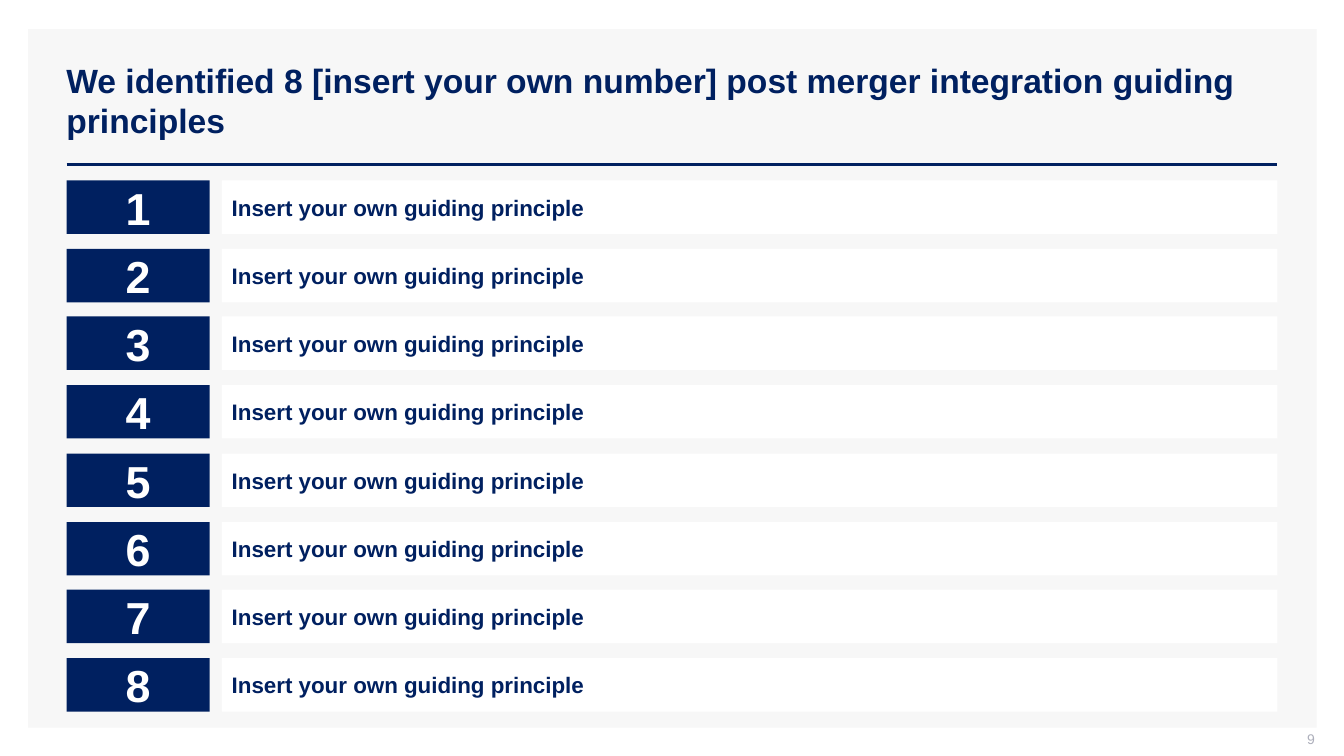
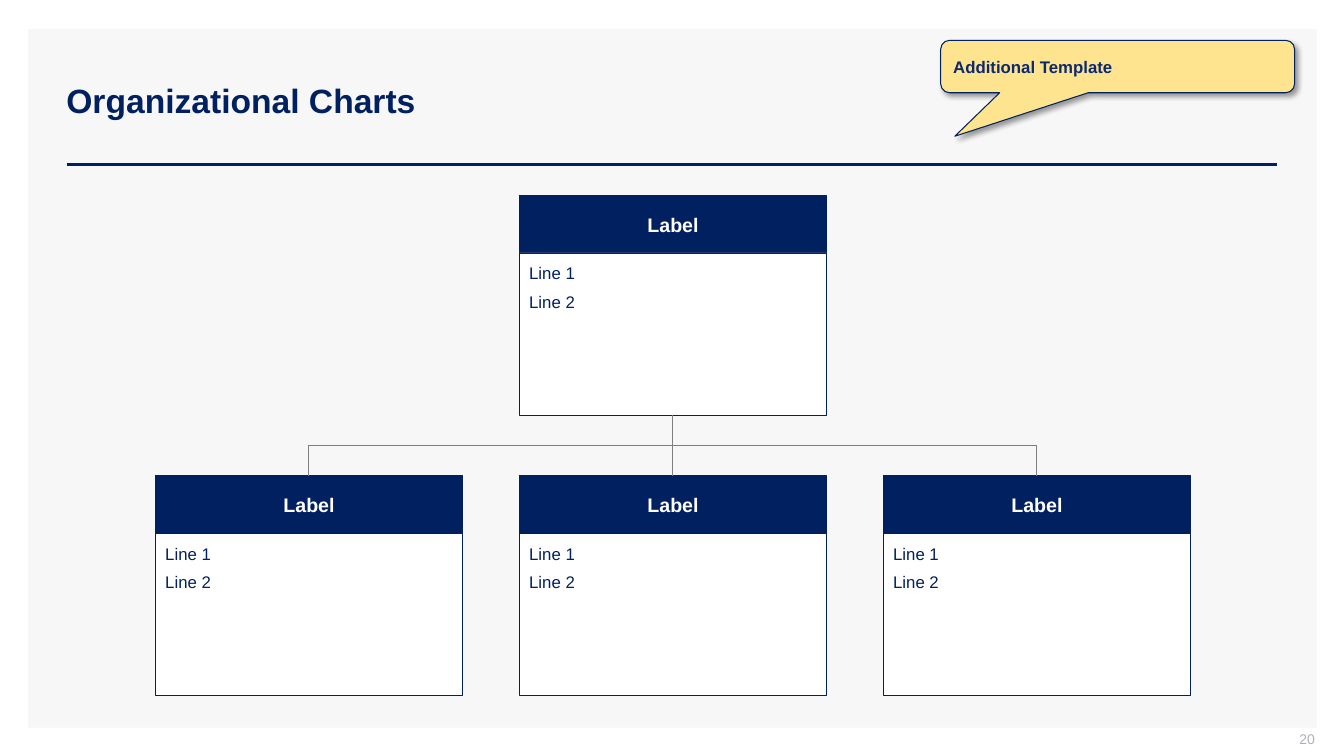
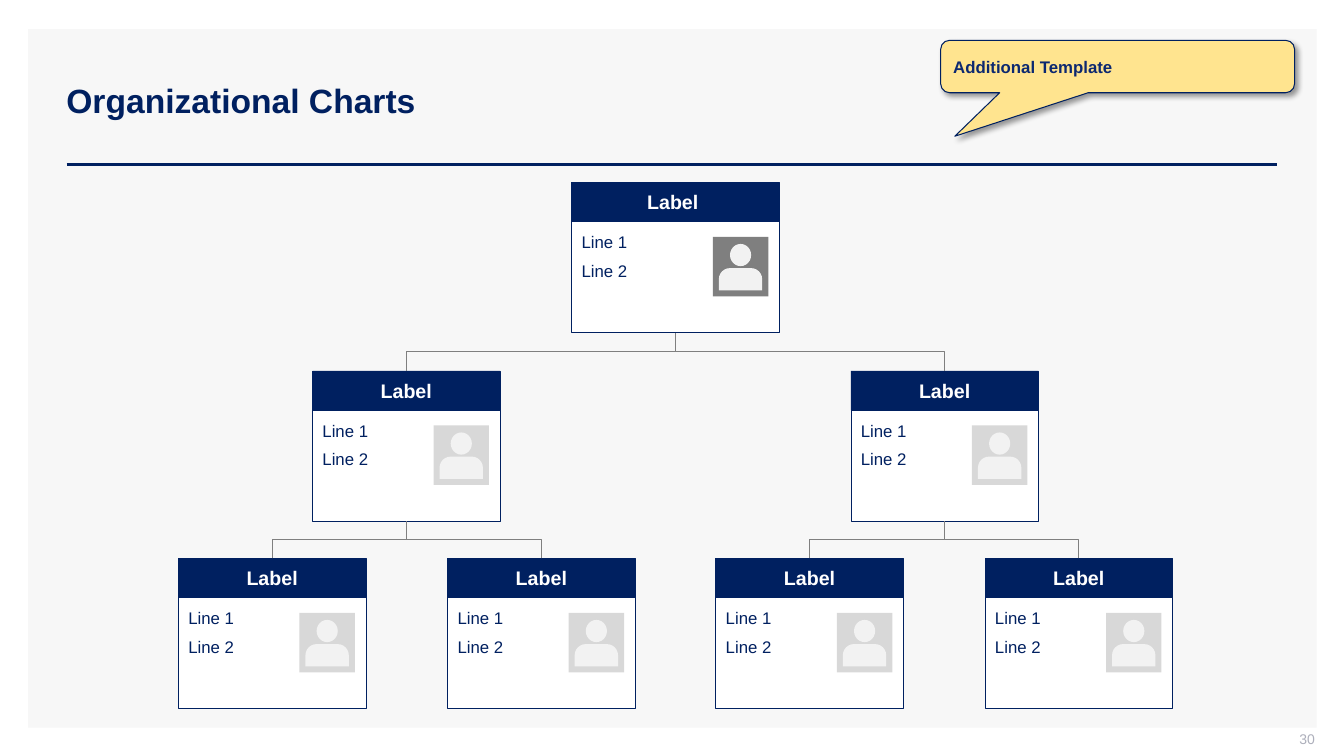
from lxml import etree
from pptx import Presentation
from pptx.dml.color import RGBColor
from pptx.enum.shapes import MSO_CONNECTOR as LINK, MSO_SHAPE as SHAPE
from pptx.enum.text import MSO_ANCHOR as ANCHOR, PP_ALIGN as ALIGN
from pptx.oxml.ns import qn
from pptx.util import Pt

PX = 9144  # 100 px to the inch
FONT = "Arial"
COLORS = {
    "navy": "002060", "white": "FFFFFF", "panel": "F7F7F7", "page": "ADAFBB",
    "wire": "7F7F7F", "yellow": "FFE48F", "callout": "0C2870",
    "dark": "7F7F7F", "light": "D8D8D8", "person": "F2F2F2",
}


def box(shapes, x, y, w, h, text="", *, kind=SHAPE.RECTANGLE, fill=None, line=None,
        line_pt=0.5, adj=(), size=12, color="navy", bold=False, align=ALIGN.LEFT,
        anchor=ANCHOR.MIDDLE, inset=(10, 5, 10, 5), after=0):
    """Add a shape, or a text box when there is no fill; each line is a paragraph."""
    at = [v * PX for v in (x, y, w, h)]
    if fill:
        sp = shapes.add_shape(kind, *at)
        sp.shadow.inherit = False
        sp.fill.solid()
        sp.fill.fore_color.rgb = RGBColor.from_string(COLORS[fill])
        if line:
            sp.line.color.rgb = RGBColor.from_string(COLORS[line])
            sp.line.width = Pt(line_pt)
        else:
            sp.line.fill.background()
        for i, value in enumerate(adj):
            sp.adjustments[i] = value
    else:
        sp = shapes.add_textbox(*at)
    if text:
        tf = sp.text_frame
        tf.word_wrap = True
        tf.vertical_anchor = anchor
        tf.margin_left, tf.margin_top, tf.margin_right, tf.margin_bottom = (
            v * PX for v in inset)
        for i, content in enumerate(text.split("\n")):
            p = tf.add_paragraph() if i else tf.paragraphs[0]
            p.alignment = align
            p.space_after = Pt(after)
            r = p.add_run()
            r.text = content
            r.font.name, r.font.size, r.font.bold = FONT, Pt(size), bold
            r.font.color.rgb = RGBColor.from_string(COLORS[color])
    return sp


def wire(s, x1, y1, x2, y2, color="wire", width=0.5):
    """Join two points: straight if aligned, else an elbow leaving vertically."""
    if x1 == x2 or y1 == y2:
        cn = s.shapes.add_connector(LINK.STRAIGHT, x1 * PX, y1 * PX, x2 * PX, y2 * PX)
    else:
        # An elbow leaves sideways, so it is laid out on its side and then turned.
        side = 1 if x1 > x2 else -1
        mid_x, mid_y = (x1 + x2) * PX // 2, (y1 + y2) * PX // 2
        dx, dy = side * (y1 - y2) * PX // 2, abs(x1 - x2) * PX // 2
        cn = s.shapes.add_connector(LINK.ELBOW, mid_x - dx, mid_y + dy,
                                    mid_x + dx, mid_y - dy)
        turn = 270 if side > 0 else 90
        cn._element.spPr.find(qn("a:xfrm")).set("rot", str(turn * 60000))
    cn.line.color.rgb = RGBColor.from_string(COLORS[color])
    cn.line.width = Pt(width)
    etree.SubElement(cn._element.spPr, qn("a:effectLst"))


prs = Presentation()
prs.slide_width, prs.slide_height = 1333 * PX, 750 * PX

# Panel, title, rule and page number
pages = [
    ("We identified 8 [insert your own number] post merger integration guiding principles", 9),
    ("Organizational Charts", 20),
    ("Organizational Charts", 30),
]
slides = []
for title, number in pages:
    s = prs.slides.add_slide(prs.slide_layouts[6])
    box(s.shapes, 28, 29, 1278, 693, fill="panel")
    wire(s, 66, 163, 1267, 163, color="navy", width=2)
    box(s.shapes, 56, 40, 1211, 119, title, size=24, bold=True)
    box(s.shapes, 1004, 725, 300, 21, str(number), size=10, color="page",
        align=ALIGN.RIGHT, inset=(10, 0, 0, 5))
    slides.append(s)
principles, *charts = slides

# Guiding principles
for i in range(8):
    top = 179 + round(i * 474 / 7)
    box(principles.shapes, 66, top, 142, 53, str(i + 1), fill="navy", size=32,
        color="white", bold=True, align=ALIGN.CENTER)
    box(principles.shapes, 220, top, 1047, 53, "Insert your own guiding principle",
        fill="white", size=16, bold=True)

# Organizational charts: each card is (center, top, width, label, photo, parent index)
three_reports = [(667, 194, 305, "Label", None, None)]
three_reports += [(667 + i * 361, 472, 305, "Label", None, 0) for i in (-1, 0, 1)]
three_levels = [(670, 181, 206, "Label ", "dark", None)]
three_levels += [(403 + i * 534, 368, 186, "Label", "light", 0) for i in range(2)]
three_levels += [(270 + round(i * 800 / 3), 554, 186, "Label", "light", 1 + i // 2)
                 for i in range(4)]

for s, head_h, body_h, cards in zip(charts, (57, 39), (161, 110),
                                    (three_reports, three_levels)):
    for center, top, width, label, photo, parent in cards:
        left = center - width // 2
        box(s.shapes, left, top, width, head_h, label, fill="navy", line="navy",
            size=14, color="white", bold=True, align=ALIGN.CENTER, inset=(10,) * 4)
        box(s.shapes, left, top + head_h, width, body_h, "Line 1\nLine 2", fill="white",
            line="navy", anchor=ANCHOR.TOP, inset=(10,) * 4, after=6)
        if photo:
            x, y = left + width - 66, top + 54
            group = s.shapes.add_group_shape().shapes
            box(group, x, y, 55, 59, fill=photo)
            box(group, x + 17, y + 7, 21, 22, kind=SHAPE.OVAL, fill="person")
            box(group, x + 6, y + 31, 43, 22, kind=SHAPE.ROUND_2_SAME_RECTANGLE,
                fill="person", adj=(0.5, 0))
        if parent is not None:
            boss_x, boss_top = cards[parent][:2]
            wire(s, center, top, boss_x, boss_top + head_h + body_h)

    callout = box(s.shapes, 933, 40, 351, 52, "Additional Template",
                  kind=SHAPE.ROUNDED_RECTANGULAR_CALLOUT, adj=(-0.46, 1.33, 0.17),
                  fill="yellow", line="navy", line_pt=0.75, color="callout", bold=True)
    effects = callout._element.spPr.find(qn("a:effectLst"))
    shadow = etree.SubElement(effects, qn("a:outerShdw"), blurRad=str(Pt(4)),
                              dist=str(Pt(3)), dir=str(45 * 60000), algn="tl",
                              rotWithShape="0")
    black = etree.SubElement(shadow, qn("a:srgbClr"), val="000000")
    etree.SubElement(black, qn("a:alpha"), val="40000")

prs.save("out.pptx")
